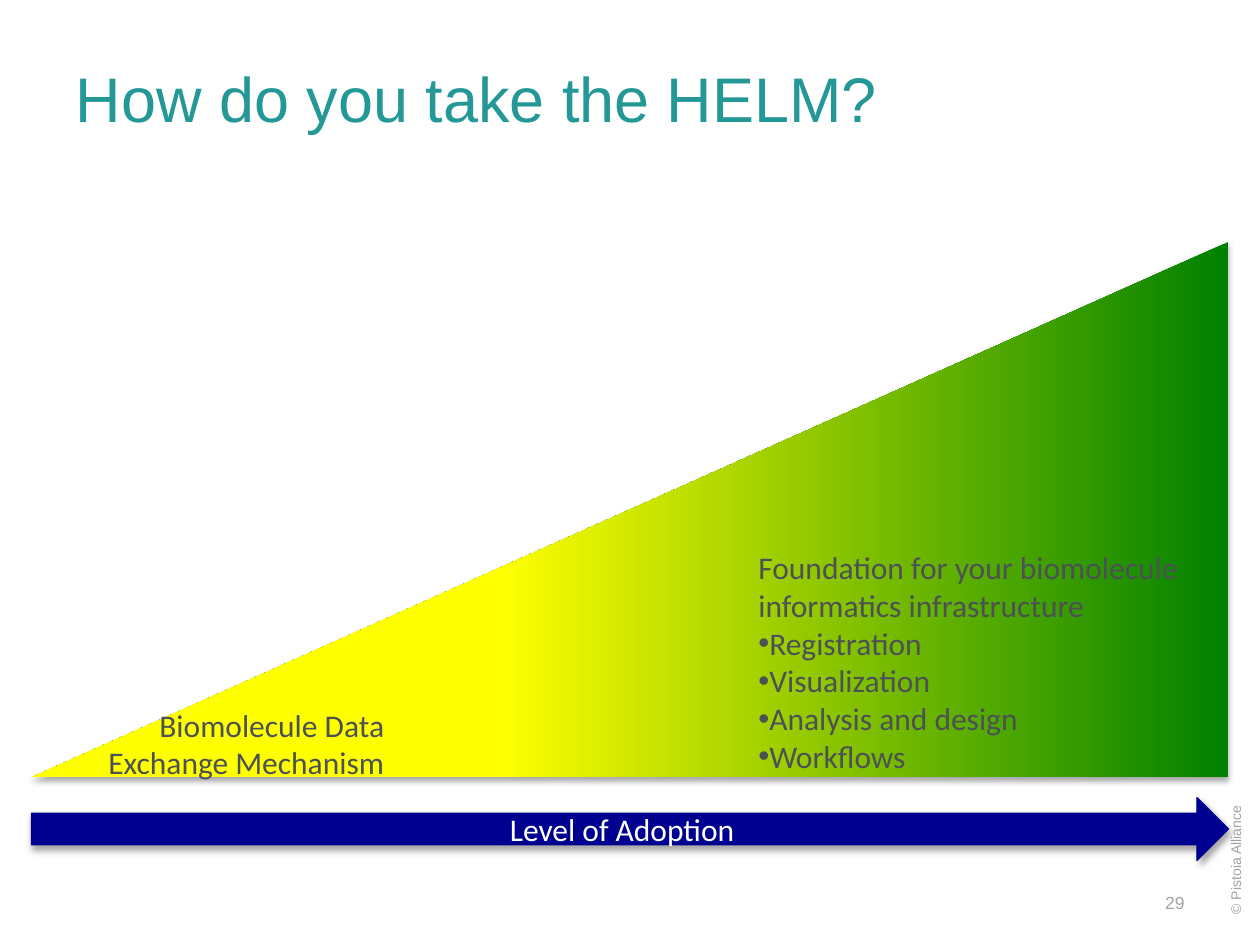
"""Build the HELM adoption slide: a rising wedge above an arrow."""
from lxml import etree
from pptx import Presentation
from pptx.dml.color import RGBColor
from pptx.enum.shapes import MSO_SHAPE
from pptx.enum.text import MSO_ANCHOR, PP_ALIGN
from pptx.oxml.ns import qn
from pptx.util import Inches, Pt

LEFT, CENTER, RIGHT = PP_ALIGN.LEFT, PP_ALIGN.CENTER, PP_ALIGN.RIGHT
TOP, MIDDLE = MSO_ANCHOR.TOP, MSO_ANCHOR.MIDDLE
WEDGE, ARROW = MSO_SHAPE.RIGHT_TRIANGLE, MSO_SHAPE.RIGHT_ARROW
TEAL = RGBColor(0x24, 0x97, 0x97)
SLATE = RGBColor(0x4C, 0x51, 0x56)
GREY = RGBColor(0xA0, 0xA3, 0xA5)
GREEN = RGBColor(0x00, 0x80, 0x00)
YELLOW = RGBColor(0xFF, 0xFF, 0x00)
NAVY = RGBColor(0x00, 0x00, 0x90)
WHITE = RGBColor(0xFF, 0xFF, 0xFF)

deck = Presentation()
deck.slide_width, deck.slide_height = Inches(10), Inches(7.5)
slide = deck.slides.add_slide(deck.slide_layouts[5])
margin = deck.slide_width // 40
band_width = deck.slide_width - 2 * margin


def write(holder, lines, size=18, font="Calibri", color=SLATE, align=LEFT,
          anchor=TOP, wrap=True, bullets_from=None):
    frame = holder.text_frame
    frame.word_wrap = wrap
    frame.vertical_anchor = anchor
    for index, line in enumerate(lines):
        paragraph = frame.paragraphs[0] if index == 0 else frame.add_paragraph()
        paragraph.alignment = align
        if bullets_from is not None and index >= bullets_from:
            properties = paragraph._p.get_or_add_pPr()
            properties.set("marL", "0")
            properties.set("indent", "0")
            etree.SubElement(properties, qn("a:buFont")).set("typeface", "Arial")
            etree.SubElement(properties, qn("a:buChar")).set("char", "•")
        run = paragraph.add_run()
        run.text = line
        run.font.size = Pt(size)
        run.font.name = font
        run.font.color.rgb = color


def text_area(left, top, width, height):
    return slide.shapes.add_textbox(
        Inches(left), Inches(top), Inches(width), Inches(height))


title = slide.shapes.title
title.left, title.top = Inches(0.5), Inches(0.39)
title.width, title.height = Inches(8.12), Inches(0.77)
write(title, ["How do you take the HELM?"], size=36, font="Arial",
      color=TEAL, anchor=MIDDLE)

copyright_line = text_area(9.17, 6.52, 1.27, 0.4)
copyright_line.rotation = 270
write(copyright_line, ["© Pistoia Alliance"], size=8, font="Arial",
      color=GREY, anchor=MIDDLE)

page_number = text_area(8.94, 6.97, 0.56, 0.38)
write(page_number, ["29"], size=10, font="Arial", color=GREY,
      align=RIGHT, anchor=MIDDLE)

adoption_wedge = slide.shapes.add_shape(
    WEDGE, margin, Inches(1.92), band_width, Inches(4.25))
adoption_wedge._element.spPr.xfrm.set("flipH", "1")
adoption_wedge.fill.gradient()
adoption_wedge.fill.gradient_angle = 0
for stop, color, position in zip(
        adoption_wedge.fill.gradient_stops, (GREEN, YELLOW), (0, 0.61)):
    stop.color.rgb = color
    stop.position = position
adoption_wedge.line.fill.background()

entry_level = text_area(0.77, 5.55, 2.42, 0.71)
entry_level.text_frame.margin_left = 0
entry_level.text_frame.margin_right = Inches(0.14)
write(entry_level, ["Biomolecule Data", "Exchange Mechanism"], align=RIGHT)

full_level = text_area(5.92, 4.3, 3.92, 1.92)
write(full_level, ["Foundation for your biomolecule informatics infrastructure",
                   "Registration", "Visualization", "Analysis and design",
                   "Workflows"], bullets_from=1)

adoption_axis = slide.shapes.add_shape(
    ARROW, margin, Inches(6.33), band_width, Inches(0.5))
adoption_axis.fill.solid()
adoption_axis.fill.fore_color.rgb = NAVY
adoption_axis.line.color.rgb = NAVY
adoption_axis.line.width = Pt(0.75)
write(adoption_axis, ["Level of Adoption"], color=WHITE, align=CENTER,
      anchor=MIDDLE)

deck.save("out.pptx")
